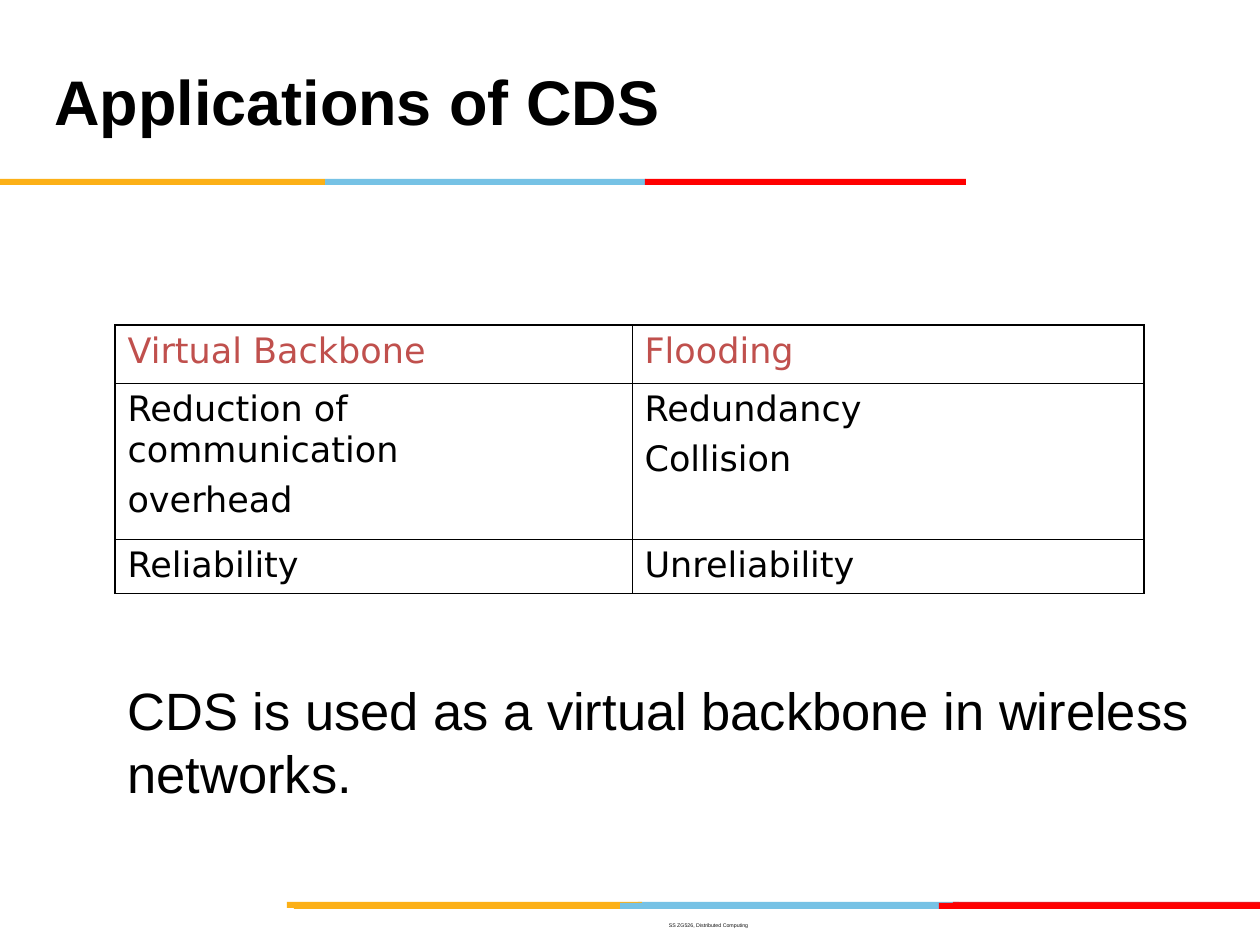
from lxml.etree import SubElement
from pptx import Presentation
from pptx.dml.color import RGBColor
from pptx.enum.shapes import MSO_SHAPE
from pptx.enum.text import MSO_ANCHOR, PP_ALIGN
from pptx.oxml.ns import qn
from pptx.util import Pt

COLORS = {
    "orange": "FCB017", "blue": "76C2E5", "red": "FF0000", "crimson": "E31C24",
    "black": "000000", "header": "C0504D", "footer": "111111",
}

# Stripes, back to front: top, then (left, width, colour)
STRIPES = [
    (902, [(638, 321, "blue"), (953, 307, "crimson"), (287, 355, "orange")]),
    (903, [(620, 321, "blue"), (294, 326, "orange"), (939, 321, "red")]),
    (179, [(325, 321, "blue"), (0, 325, "orange"), (645, 321, "red")]),
]
STRIPE_H = 6

# Text boxes: box, lines, font size, bold, colour, alignment, anchor
TEXTS = [
    ((42, 21, 872, 158), ["Applications of CDS"], 36, True, "black",
     PP_ALIGN.LEFT, MSO_ANCHOR.MIDDLE),
    ((115, 672, 1103, 139),
     ["CDS is used as a virtual backbone in wireless", "networks."],
     30, False, "black", PP_ALIGN.LEFT, MSO_ANCHOR.TOP),
    ((357, 915, 703, 20), ["SS ZG526, Distributed Computing"], 3, False,
     "footer", PP_ALIGN.CENTER, MSO_ANCHOR.MIDDLE),
]

TABLE_AT = (115, 325)
COLS = [517, 512]
ROWS = [58, 156, 54]
CELLS = [
    [["Virtual Backbone"], ["Flooding"]],
    [["Reduction of communication", "overhead"], ["Redundancy", "Collision"]],
    [["Reliability"], ["Unreliability"]],
]
OUTER, INNER = 1.08, 0.45


def px(n):
    return round(n * 914400 / 126)


def rgb(name):
    return RGBColor.from_string(COLORS[name])


def write(tf, lines, color, align=PP_ALIGN.LEFT, gap=0, **font):
    for i, line in enumerate(lines):
        p = tf.paragraphs[0] if i == 0 else tf.add_paragraph()
        p.alignment = align
        if i:
            p.space_before = Pt(gap)
        r = p.add_run()
        r.text = line
        for name, value in font.items():
            setattr(r.font, name, value)
        r.font.color.rgb = rgb(color)


def set_borders(cell, widths):
    tcPr = cell._tc.get_or_add_tcPr()
    for i, (side, width) in enumerate(widths.items()):
        ln = SubElement(tcPr, qn(f"a:{side}"), w=str(Pt(width)))
        fill = SubElement(ln, qn("a:solidFill"))
        SubElement(fill, qn("a:srgbClr"), val=COLORS["black"])
        tcPr.insert(i, ln)  # borders come before the fill


prs = Presentation()
prs.slide_width, prs.slide_height = px(1260), px(945)
s = prs.slides.add_slide(prs.slide_layouts[6])

# Coloured stripes
for top, bars in STRIPES:
    for left, width, color in bars:
        bar = s.shapes.add_shape(MSO_SHAPE.RECTANGLE, px(left), px(top),
                                 px(width), px(STRIPE_H))
        bar.shadow.inherit = False
        bar.fill.solid()
        bar.fill.fore_color.rgb = rgb(color)
        bar.line.fill.background()

# Title, statement and footer
for box, lines, size, bold, color, align, anchor in TEXTS:
    tf = s.shapes.add_textbox(*map(px, box)).text_frame
    tf.word_wrap = True
    tf.vertical_anchor = anchor
    write(tf, lines, color, align, name="Arial", size=Pt(size), bold=bold)

# Comparison table
frame = s.shapes.add_table(len(ROWS), len(COLS), *map(px, TABLE_AT),
                           px(sum(COLS)), px(sum(ROWS)))
table = frame.table
table.first_row = table.horz_banding = False
for col, width in zip(table.columns, COLS):
    col.width = px(width)
for row, height in zip(table.rows, ROWS):
    row.height = px(height)

for i, row in enumerate(CELLS):
    for j, lines in enumerate(row):
        cell = table.cell(i, j)
        cell.fill.background()
        write(cell.text_frame, lines, "black" if i else "header", gap=5,
              name="DejaVu Sans", size=Pt(20), bold=False)
        edges = {"lnL": j == 0, "lnR": j == len(COLS) - 1,
                 "lnT": i == 0, "lnB": i == len(ROWS) - 1}
        set_borders(cell, {side: OUTER if outer else INNER
                           for side, outer in edges.items()})

prs.save("out.pptx")
